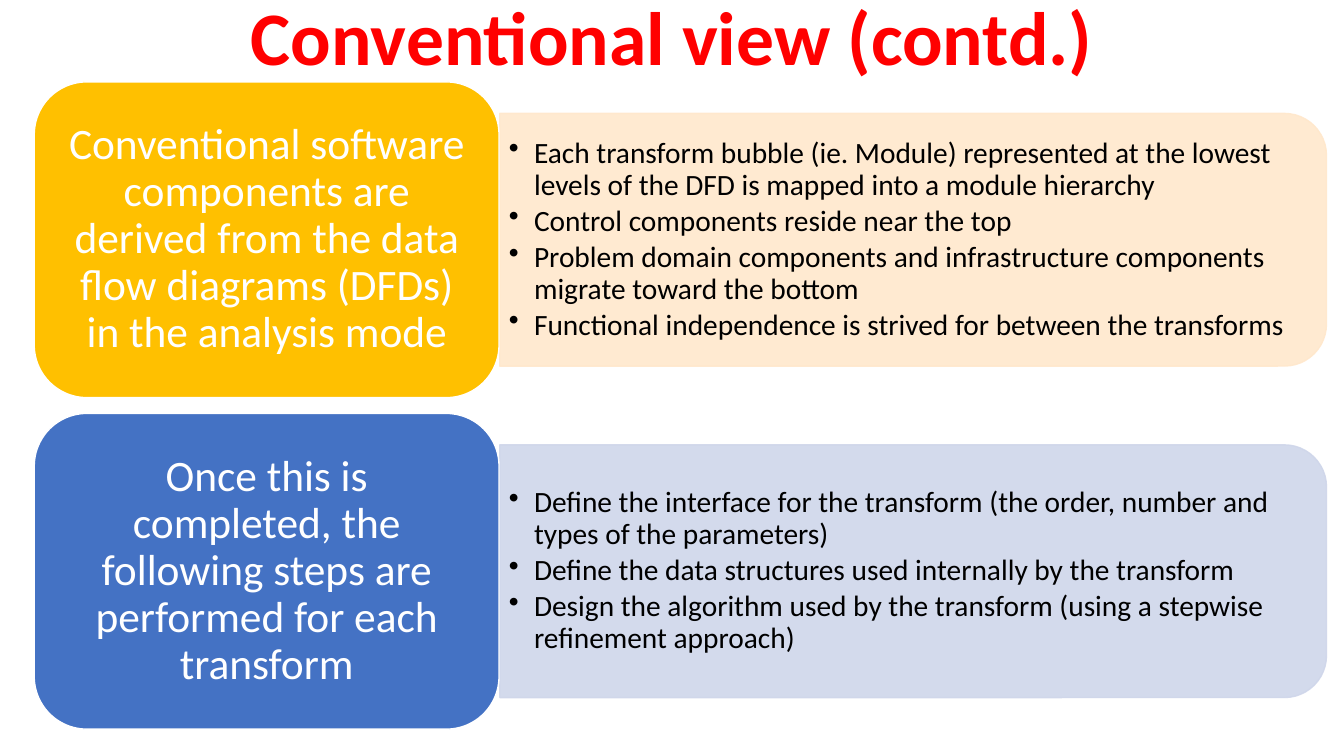
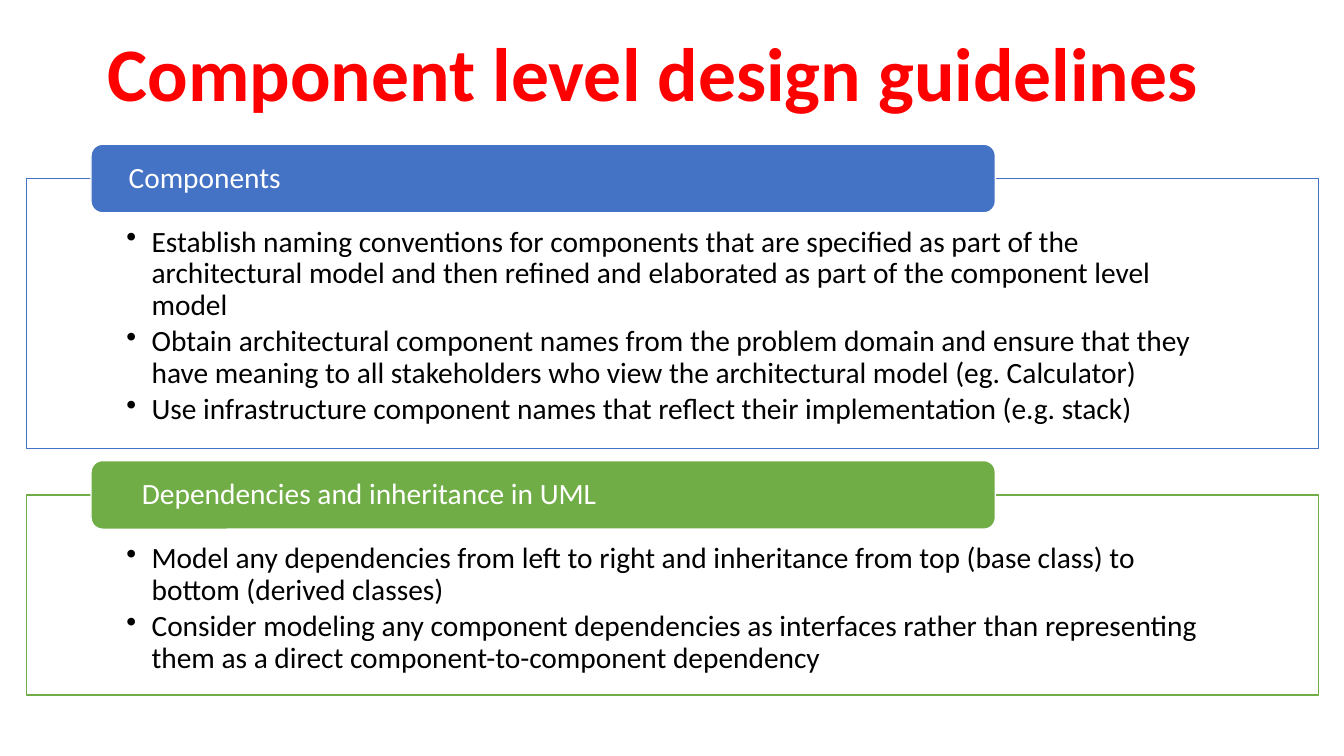
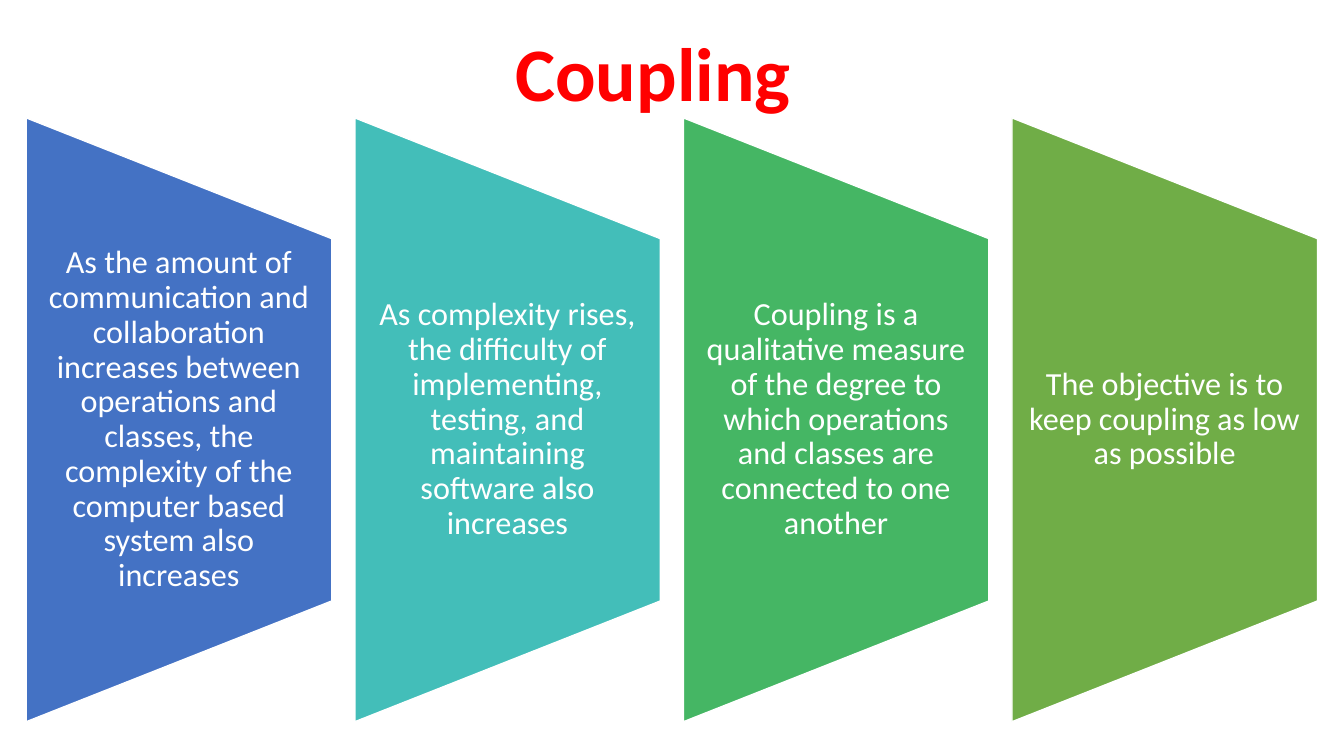
from lxml.etree import SubElement
from pptx import Presentation
from pptx.dml.color import RGBColor
from pptx.enum.shapes import MSO_SHAPE
from pptx.enum.text import MSO_ANCHOR, PP_ALIGN
from pptx.oxml.ns import qn
from pptx.util import Pt

FONT = "Calibri"
WHITE, BLACK, RED = "FFFFFF", "000000", "FF0000"
BLUE, GREEN, GOLD = "4472C4", "70AD47", "FFC000"
TEAL, EMERALD = "43BEB9", "45B664"
PEACH, PALE_BLUE = "FFE8CC", "CFD6EA"
BODY_SIZE = 21

TRANSFORM_ROWS = [
    (GOLD, PEACH,
     "Conventional software components are derived from the data flow diagrams (DFDs) in the analysis mode",
     ["Each transform bubble (ie. Module) represented at the lowest levels of the DFD is mapped into a module hierarchy",
      "Control components reside near the top",
      "Problem domain components and infrastructure components migrate toward the bottom",
      "Functional independence is strived for between the transforms"]),
    (BLUE, PALE_BLUE,
     "Once this is completed, the following steps are performed for each transform",
     ["Define the interface for the transform (the order, number and types of the parameters)",
      "Define the data structures used internally by the transform",
      "Design the algorithm used by the transform (using a stepwise refinement approach)"]),
]

GUIDELINES = [
    (BLUE, "Components", 24.5, 193,
     ["Establish naming conventions for components that are specified as part of the architectural model and then refined and elaborated as part of the component level model",
      "Obtain architectural component names from the problem domain and ensure that they have meaning to all stakeholders who view the architectural model (eg. Calculator)",
      "Use infrastructure component names that reflect their implementation (e.g. stack)"]),
    (GREEN, "Dependencies and inheritance in UML", 34, 143,
     ["Model any dependencies from left to right and inheritance from top (base class) to bottom (derived classes)",
      "Consider modeling any component dependencies as interfaces rather than representing them as a direct component-to-component dependency"]),
]

COUPLING_POINTS = [
    (BLUE, "As the amount of communication and collaboration increases between operations and classes, the complexity of the computer based system also increases"),
    (TEAL, "As complexity rises, the difficulty of implementing, testing, and maintaining software also increases"),
    (EMERALD, "Coupling is a qualitative measure of the degree to which operations and classes are connected to one another"),
    (GREEN, "The objective is to keep coupling as low as possible"),
]


def color(value):
    """Turn a hex string into a colour."""
    return RGBColor.from_string(value)


def add_box(page, kind, left, top, width, height, fill, line=WHITE):
    """Add a filled, outlined preset shape."""
    box = page.shapes.add_shape(kind, Pt(left), Pt(top), Pt(width), Pt(height))
    box.shadow.inherit = False
    box.fill.solid()
    box.fill.fore_color.rgb = color(fill)
    box.line.color.rgb = color(line)
    box.line.width = Pt(1)
    return box


def add_turned_box(page, kind, left, top, width, height, rotation, fill, line=WHITE):
    """Add a shape whose frame is given as it shows after a quarter turn."""
    shift = (width - height) / 2
    box = add_box(page, kind, left + shift, top - shift, height, width, fill, line)
    box.rotation = rotation
    return box


def add_label(page, left, top, width, height):
    """Add an empty text box."""
    return page.shapes.add_textbox(Pt(left), Pt(top), Pt(width), Pt(height))


def make_translucent(box, percent):
    """Set the opacity of fill and line."""
    for node in box.element.spPr.iter(qn("a:srgbClr")):
        SubElement(node, qn("a:alpha"), val=str(percent * 1000))


def write(box, texts, size, ink, margins, align=PP_ALIGN.CENTER,
          anchor=MSO_ANCHOR.MIDDLE, bold=False, bullets=False):
    """Fill a shape with paragraphs; margins run left, top, right, bottom."""
    frame = box.text_frame
    frame.word_wrap = True
    frame.vertical_anchor = anchor
    (frame.margin_left, frame.margin_top,
     frame.margin_right, frame.margin_bottom) = map(Pt, margins)
    for index, text in enumerate(texts):
        para = frame.add_paragraph() if index else frame.paragraphs[0]
        para.alignment = align
        para.line_spacing = 0.9
        if index:
            para.space_before = Pt(size * 0.15)
        if bullets:
            add_bullet(para)
        span = para.add_run()
        span.text = text
        span.font.name = FONT
        span.font.size = Pt(size)
        span.font.bold = bold
        span.font.color.rgb = color(ink)


def add_bullet(para):
    """Give a paragraph a hanging bullet."""
    properties = para._p.get_or_add_pPr()
    properties.set("marL", str(Pt(18)))
    properties.set("indent", str(-Pt(18)))
    SubElement(properties, qn("a:buChar"), char="•")


def write_list(box, texts, margins, anchor=MSO_ANCHOR.MIDDLE):
    """Fill a shape with a bulleted body list."""
    write(box, texts, BODY_SIZE, BLACK, margins, PP_ALIGN.LEFT, anchor, bullets=True)


def add_page(deck, title, left=52.5, top=26):
    """Add a blank page with the shared title style."""
    page = deck.slides.add_slide(deck.slide_layouts[6])
    box = add_label(page, left, top, 828, 58.5)
    write(box, [title], 54, RED, (7.2, 3.6, 7.2, 3.6), bold=True)
    return page


def add_transform_row(page, top, card_fill, panel_fill, heading, points):
    """Add a heading card with a panel of points on its right."""
    left, width, height = 24.5, 332, 225.5
    panel_left, panel_height = left + width + 0.5, 180.5
    panel_top = top + (height - panel_height) / 2
    panel = add_turned_box(page, MSO_SHAPE.ROUND_2_SAME_RECTANGLE, panel_left, panel_top,
                           590.5, panel_height, 90, panel_fill, panel_fill)
    make_translucent(panel, 90)
    label = add_label(page, panel_left, panel_top, 582, panel_height)
    write_list(label, points, (6.5, 3, 6.5, 3))
    card = add_box(page, MSO_SHAPE.ROUNDED_RECTANGLE, left, top, width, height, card_fill)
    write(card, [heading], 31, WHITE, (9.3, 4.6, 9.3, 4.6))


def add_guideline(page, top, fill, heading, heading_margin, height, points):
    """Add an outlined list with a heading tab over its top edge."""
    frame = add_box(page, MSO_SHAPE.RECTANGLE, 18.8, top, 923, height, WHITE, fill)
    write_list(frame, points, (71.5, 34.5, 71.5, 11.5), MSO_ANCHOR.TOP)
    tab = add_box(page, MSO_SHAPE.ROUNDED_RECTANGLE, 65, top - 24.5, 646, 49, fill)
    write(tab, [heading], BODY_SIZE, WHITE, (heading_margin, 0, 24.5, 0), PP_ALIGN.LEFT)


def add_coupling_point(page, left, fill, text):
    """Add a trapezoid with centred text."""
    top, width, height = 84.2, 218.2, 431.3
    add_turned_box(page, MSO_SHAPE.FLOWCHART_MANUAL_OPERATION,
                   left, top, width, height, 270, fill)
    label = add_label(page, left, top + height / 5, width, height * 0.6)
    write(label, [text], 23, WHITE, (11.5, 0, 11.5, 0))


def main():
    """Build and save the deck."""
    deck = Presentation()
    deck.slide_width, deck.slide_height = Pt(960), Pt(540)

    page = add_page(deck, "Conventional view (contd.)", 66, 0)
    for index, row in enumerate(TRANSFORM_ROWS):
        add_transform_row(page, 58.5 + index * 236.8, *row)

    page = add_page(deck, "Component level design guidelines")
    top = 127.5
    for fill, heading, heading_margin, height, points in GUIDELINES:
        add_guideline(page, top, fill, heading, heading_margin, height, points)
        top += height + 33

    page = add_page(deck, "Coupling")
    for index, point in enumerate(COUPLING_POINTS):
        add_coupling_point(page, 18.8 + index * 234.7, *point)

    deck.save("out.pptx")


if __name__ == "__main__":
    main()
